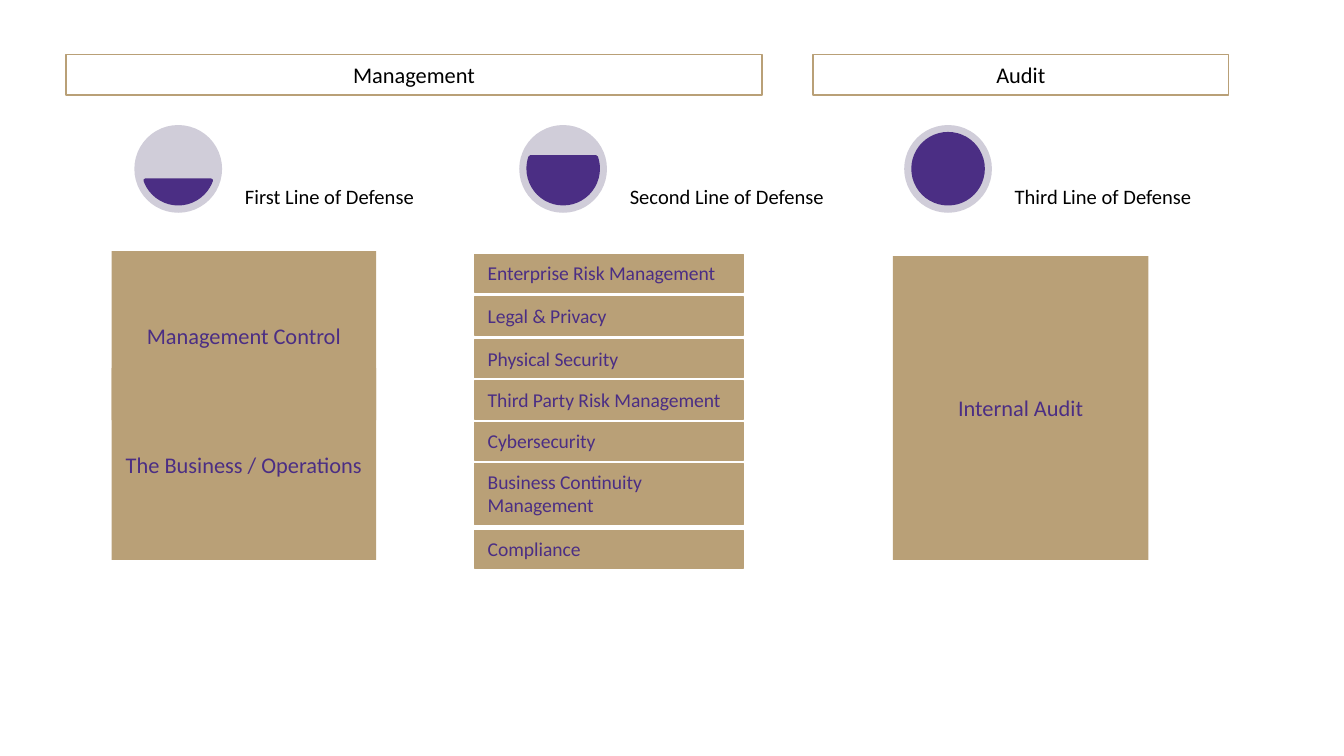
"""Build a slide showing the three lines of defense in risk management."""
import pptx
import pptx.dml.color
import pptx.enum.shapes
import pptx.enum.text
import pptx.util

Pt = pptx.util.Pt
RGBColor = pptx.dml.color.RGBColor
Shape = pptx.enum.shapes.MSO_SHAPE
Anchor = pptx.enum.text.MSO_ANCHOR
Align = pptx.enum.text.PP_ALIGN
AutoSize = pptx.enum.text.MSO_AUTO_SIZE

GOLD = RGBColor(0xB9, 0xA0, 0x77)
PURPLE = RGBColor(0x4B, 0x2E, 0x84)
LILAC = RGBColor(0xD0, 0xCD, 0xD9)
BLACK = RGBColor(0, 0, 0)

LINES_OF_DEFENSE = [
    ("First Line of Defense", (11.68, 96.32)),
    ("Second Line of Defense", (204.32, 119.68)),
    ("Third Line of Defense", (162, 162)),
]
HEADERS = [("Management", 35.4, 372.8), ("Audit", 435.6, 222.6)]
BLOCKS = [
    ("Management Control", 59.8, 134.6, 141.8, 90.5),
    ("The Business / Operations", 59.8, 197.2, 141.8, 102.8),
    ("Internal Audit", 478.3, 137.2, 137, 162.8),
]
FUNCTIONS = [
    ("Enterprise Risk Management", 136.2, 20.2),
    ("Legal & Privacy", 159.2, 20.2),
    ("Physical Security", 182.2, 20.2),
    ("Third Party Risk Management", 204.2, 20.2),
    ("Cybersecurity", 226.2, 20.2),
    ("Business Continuity Management", 248.2, 32.7),
    ("Compliance", 284.2, 20.2),
]


class SlidePainter:
    """Hold the style and the current slide."""

    font_name = "Calibri"

    def __init__(self, slide):
        self.slide = slide

    def shape(self, kind, left, top, width, height, fill=None, line=None, weight=0.75):
        shape = self.slide.shapes.add_shape(kind, Pt(left), Pt(top), Pt(width), Pt(height))
        shape.shadow.inherit = False
        if fill is None:
            shape.fill.background()
        else:
            shape.fill.solid()
            shape.fill.fore_color.rgb = fill
        if line is None:
            shape.line.fill.background()
        else:
            shape.line.color.rgb = line
            shape.line.width = Pt(weight)
        return shape

    def set_text(self, shape, text, size, color, align, anchor):
        frame = shape.text_frame
        frame.word_wrap = True
        frame.vertical_anchor = anchor
        frame.text = text
        para = frame.paragraphs[0]
        para.alignment = align
        for span in para.runs:
            span.font.name = self.font_name
            span.font.size = Pt(size)
            span.font.color.rgb = color
        return frame

    def header(self, text, left, width):
        box = self.shape(Shape.RECTANGLE, left, 29.2, width, 21.8, line=GOLD)
        frame = self.set_text(box, text, 12, BLACK, Align.CENTER, Anchor.TOP)
        frame.auto_size = AutoSize.SHAPE_TO_FIT_TEXT

    def block(self, text, left, top, width, height):
        box = self.shape(Shape.RECTANGLE, left, top, width, height, GOLD)
        self.set_text(box, text, 12, PURPLE, Align.CENTER, Anchor.MIDDLE)

    def function(self, text, top, height):
        box = self.shape(Shape.RECTANGLE, 254.2, top, 144, height, GOLD, GOLD)
        frame = self.set_text(box, text, 10.5, PURPLE, Align.LEFT, Anchor.TOP)
        frame.auto_size = AutoSize.SHAPE_TO_FIT_TEXT

    def gauge(self, left, top, angles):
        self.shape(Shape.OVAL, left, top, 47, 47, LILAC)
        level = self.shape(Shape.CHORD, left + 4.8, top + 4.7, 37.4, 37.4, PURPLE, PURPLE, 2)
        for index, angle in enumerate(angles):
            level.adjustments[index] = angle

    def label(self, text, left, top):
        box = self.slide.shapes.add_textbox(Pt(left), Pt(top), Pt(139.7), Pt(47))
        frame = self.set_text(box, text, 11, BLACK, Align.LEFT, Anchor.BOTTOM)
        frame.margin_left = frame.margin_right = Pt(2.2)
        frame.margin_top = frame.margin_bottom = Pt(2.2)
        frame.paragraphs[0].line_spacing = 0.9


def main():
    deck = pptx.Presentation()
    deck.slide_width, deck.slide_height = Pt(720), Pt(405)
    page = SlidePainter(deck.slides.add_slide(deck.slide_layouts[6]))
    for column, (text, angles) in enumerate(LINES_OF_DEFENSE):
        left = 72 + 206.2 * column
        page.gauge(left, 67, angles)
        page.label(text, left + 57, 67)
    for block in BLOCKS:
        page.block(*block)
    for function in FUNCTIONS:
        page.function(*function)
    for header in HEADERS:
        page.header(*header)
    deck.save("out.pptx")


if __name__ == "__main__":
    main()
